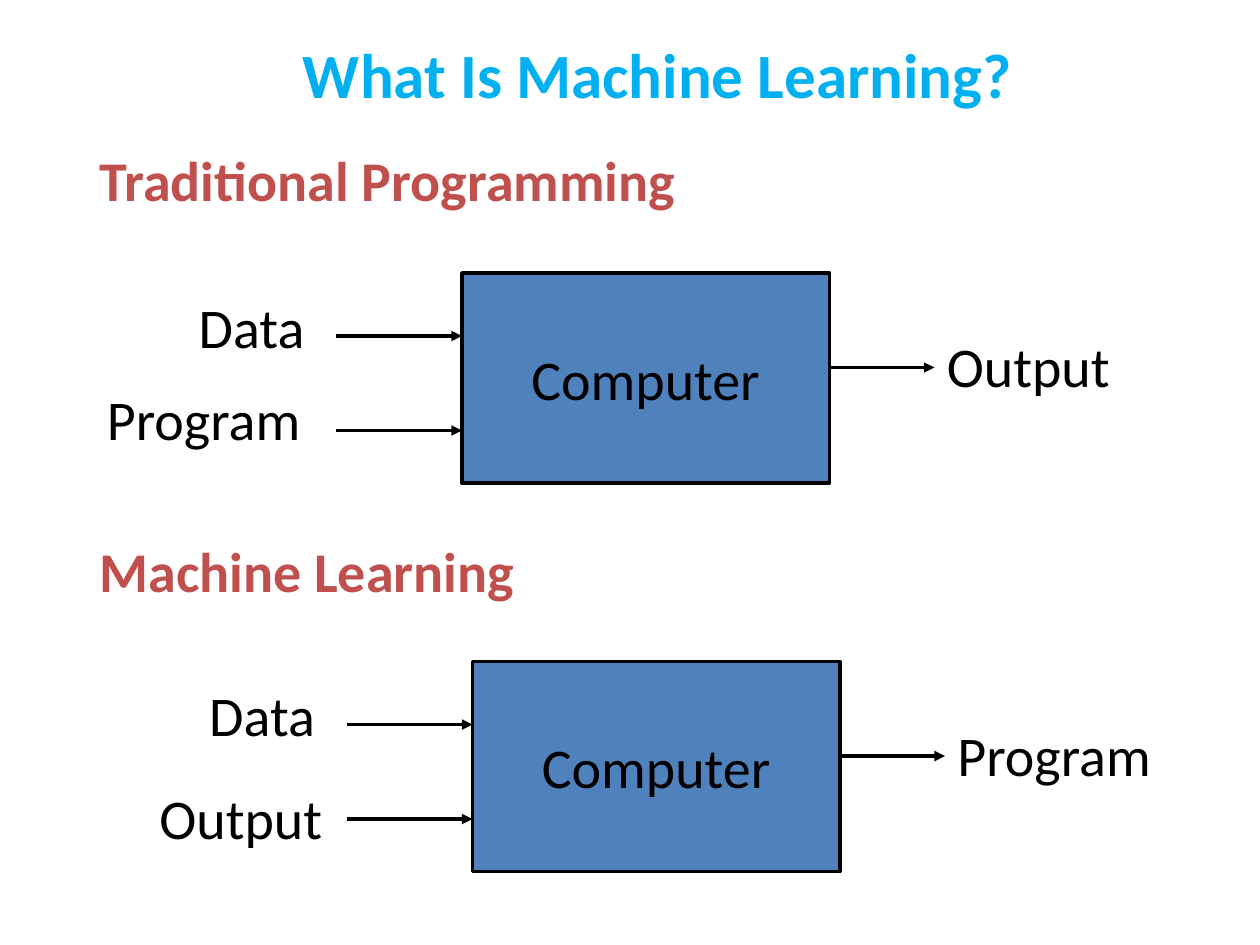
from pptx import Presentation
from pptx.dml.color import RGBColor
from pptx.enum.shapes import MSO_CONNECTOR, MSO_SHAPE
from pptx.enum.text import MSO_ANCHOR, MSO_AUTO_SIZE, PP_ALIGN
from pptx.oxml.ns import qn
from pptx.util import Pt
from lxml import etree

PX = 9525  # EMU per px, 96 px to the inch
FONT = "Calibri"
CYAN = RGBColor(0x00, 0xB0, 0xF0)
RED = RGBColor(0xC0, 0x50, 0x4D)
BLUE = RGBColor(0x4F, 0x81, 0xBD)
BLACK = RGBColor(0, 0, 0)

RECTANGLE = MSO_SHAPE.RECTANGLE
STRAIGHT = MSO_CONNECTOR.STRAIGHT
CENTER, LEFT = PP_ALIGN.CENTER, PP_ALIGN.LEFT
MIDDLE, TOP = MSO_ANCHOR.MIDDLE, MSO_ANCHOR.TOP
GROW = MSO_AUTO_SIZE.SHAPE_TO_FIT_TEXT

BOX_W, BOX_H = 280, 160
IN_ARROW, OUT_ARROW = 96, 80
LABEL_H = 60
LABEL_WIDTHS = {"Data": 109, "Program": 182, "Output": 147}


def px(*lengths):
    return [round(length * PX) for length in lengths]


def add_text(para, text, size, color, bold=False, align=LEFT):
    para.alignment = align
    span = para.add_run()
    span.text = text
    span.font.name = FONT
    span.font.size = Pt(size)
    span.font.bold = bold
    span.font.color.rgb = color


def add_arrow(page, left, y, length):
    arrow = page.shapes.add_connector(STRAIGHT, *px(left, y, left + length, y))
    arrow.line.color.rgb = BLACK
    arrow.line.width = Pt(2)
    etree.SubElement(arrow.line._get_or_add_ln(), qn("a:tailEnd"), type="triangle")
    etree.SubElement(arrow._element.spPr, qn("a:effectLst"))


def add_label(page, left, top, text):
    label = page.shapes.add_textbox(*px(left, top, LABEL_WIDTHS[text], LABEL_H))
    frame = label.text_frame
    frame.word_wrap = False
    frame.auto_size = GROW
    add_text(frame.paragraphs[0], text, 32, BLACK)


def fill_title(page, left, top, width, height):
    title = page.shapes.title
    title.left, title.top, title.width, title.height = px(left, top, width, height)
    title.text_frame.vertical_anchor = MIDDLE
    add_text(title.text_frame.paragraphs[0], "What Is Machine Learning?",
             36, CYAN, bold=True, align=CENTER)


def add_headings(page, left, top, width, height):
    body = page.shapes.add_textbox(*px(left, top, width, height))
    frame = body.text_frame
    frame.word_wrap = True
    frame.vertical_anchor = TOP
    frame.margin_left, frame.margin_top = px(28, 7)
    add_text(frame.paragraphs[0], "Traditional Programming", 32, RED, bold=True)
    # The gap leaves room for the first diagram
    para = frame.add_paragraph()
    para.space_before = Pt(185)
    add_text(para, "Machine Learning", 32, RED, bold=True)


def add_diagram(page, left, top, inputs, output):
    """Place a computer box at left, top with its inputs and output.

    Each input is a label with its left and top offset from the box.
    """
    # Computer
    computer = page.shapes.add_shape(RECTANGLE, *px(left, top, BOX_W, BOX_H))
    computer.shadow.inherit = False
    computer.fill.solid()
    computer.fill.fore_color.rgb = BLUE
    computer.line.color.rgb = BLACK
    computer.line.width = Pt(2)
    frame = computer.text_frame
    frame.word_wrap = False
    frame.vertical_anchor = MIDDLE
    add_text(frame.paragraphs[0], "Computer", 32, BLACK, align=CENTER)

    # Arrows
    for y in (48, 120):
        add_arrow(page, left - IN_ARROW, top + y, IN_ARROW)
    add_arrow(page, left + BOX_W, top + 72, OUT_ARROW)

    # Labels
    for text, dx, dy in inputs:
        add_label(page, left + dx, top + dy, text)
    add_label(page, left + BOX_W + OUT_ARROW, top + 40, output)


def main():
    deck = Presentation()
    deck.slide_width, deck.slide_height = px(960, 720)
    page = deck.slides.add_slide(deck.slide_layouts[5])
    fill_title(page, 144, 24, 714, 64)
    add_headings(page, 48, 104, 872, 544)
    add_diagram(page, 352, 208, [("Data", -210, 10), ("Program", -280, 80)], "Output")
    add_diagram(page, 360, 504, [("Data", -210, 10), ("Output", -248, 88)], "Program")
    deck.save("out.pptx")


if __name__ == "__main__":
    main()
